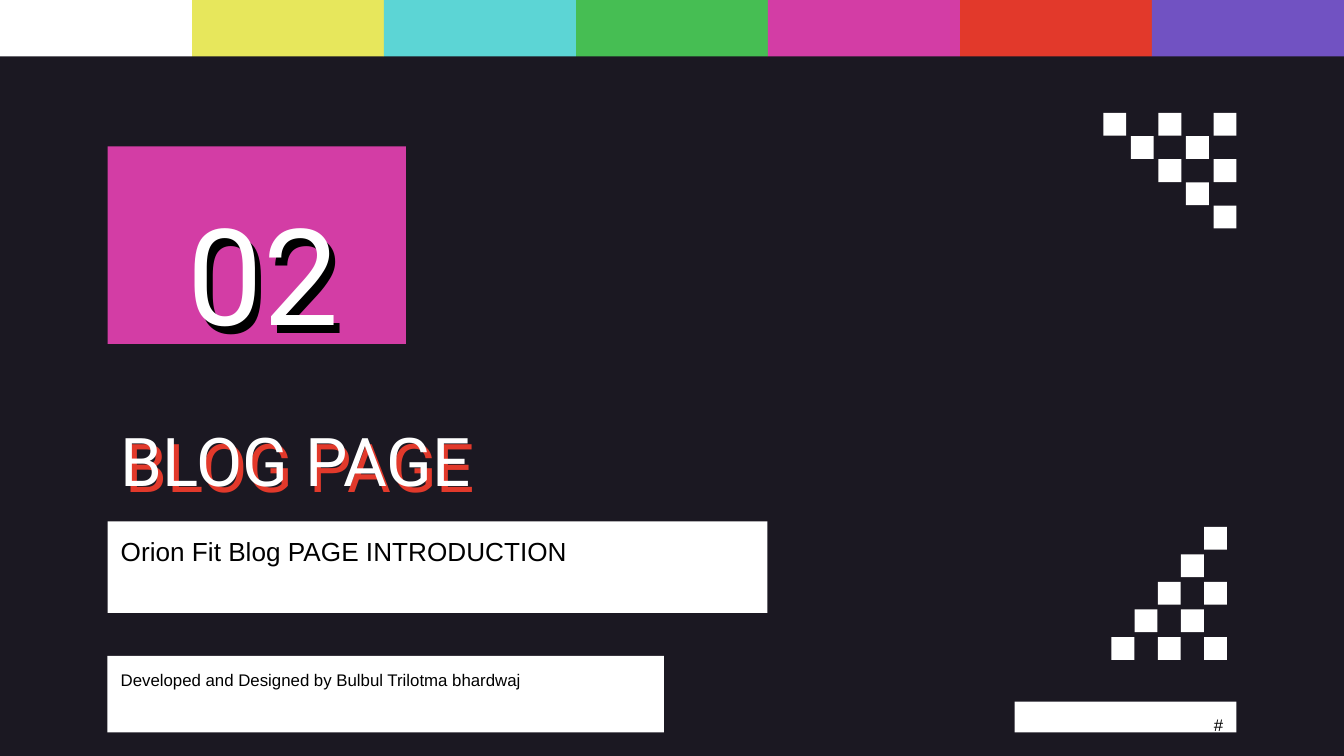
from lxml.etree import SubElement
from pptx import Presentation
from pptx.dml.color import RGBColor
from pptx.enum.shapes import MSO_SHAPE as Shape
from pptx.enum.text import MSO_ANCHOR as Anchor, PP_ALIGN as Align
from pptx.oxml.ns import qn
from pptx.util import Inches, Pt

WIDTH = 10
HEIGHT = WIDTH * 9 / 16
BACKGROUND, WHITE, BLACK = "1B1822", "FFFFFF", "000000"
PINK, RED = "D33DA5", "E2392B"
LEFT = 0.8
SQUARE, NARROW, WIDE = 0.17, 0.17, 0.21

# Content
STRIPES = [WHITE, "E7E75C", "5CD5D5", "46BE53", PINK, RED, "7152C2"]
NUMBER_BOX = (LEFT, 1.09, 2.22, 1.47)

# Checker patterns: left, top, right, bottom, rows of squares
CHECKERS = [
    (8.21, 0.84, 9.03, 1.53, ["X.X.X", ".X.X.", "..X.X", "...X.", "....X"]),
    (8.27, 3.92, 8.96, 4.74, ["....X", "...X.", "..X.X", ".X.X.", "X.X.X"]),
]

# Headings: text, box, size, alignment, margins, shadow colour, shadow distance
HEADINGS = [
    ("BLOG PAGE", (LEFT, 2.65, 5.74, 1.34), 36, Align.LEFT,
     (0.1, 0.2, 0.1, 0), RED, 4.25),
    ("02", NUMBER_BOX, 72, Align.CENTER, (0.1, 0.4, 0, 0), BLACK, 5.25),
]

# White panels: text, box, size, alignment
PANELS = [
    ("Developed and Designed by Bulbul Trilotma bhardwaj",
     (LEFT, 4.88, 4.14, 0.57), 9, Align.LEFT),
    ("#", (7.55, 5.22, 1.65, 0.23), 9, Align.RIGHT),
    ("Orion Fit Blog PAGE INTRODUCTION",
     (LEFT, 3.88, 4.91, 0.68), 14, Align.LEFT),
]


def color(value):
    return RGBColor.from_string(value)


def add_rectangle(slide, box, fill):
    shape = slide.shapes.add_shape(Shape.RECTANGLE, *map(Inches, box))
    shape.shadow.inherit = False
    shape.fill.solid()
    shape.fill.fore_color.rgb = color(fill)
    shape.line.fill.background()
    return shape


def write(shape, text, size, font, ink, align, margins, anchor):
    frame = shape.text_frame
    frame.word_wrap = True
    frame.vertical_anchor = anchor
    (frame.margin_left, frame.margin_top,
     frame.margin_right, frame.margin_bottom) = map(Inches, margins)
    paragraph = frame.paragraphs[0]
    paragraph.text = text
    paragraph.alignment = align
    paragraph.font.name = font
    paragraph.font.size = Pt(size)
    paragraph.font.color.rgb = color(ink)


def add_shadow(shape, tint, distance):
    effects = SubElement(shape.element.spPr, qn("a:effectLst"))
    shadow = SubElement(effects, qn("a:outerShdw"), dist=str(Pt(distance)),
                        dir="3240000", algn="bl", rotWithShape="0")
    SubElement(shadow, qn("a:srgbClr"), val=tint)


presentation = Presentation()
presentation.slide_width = Inches(WIDTH)
presentation.slide_height = Inches(HEIGHT)
slide = presentation.slides.add_slide(presentation.slide_layouts[6])
slide.background.fill.solid()
slide.background.fill.fore_color.rgb = color(BACKGROUND)

# Colour stripes across the top
stripe_width = WIDTH / len(STRIPES)
for index, fill in enumerate(STRIPES):
    add_rectangle(slide, (index * stripe_width, 0, stripe_width, 0.42), fill)

# Checker corners
for left, top, right, bottom, rows in CHECKERS:
    column_step = (right - left) / (len(rows[0]) - 1)
    row_step = (bottom - top) / (len(rows) - 1)
    for row, marks in enumerate(rows):
        for column, mark in enumerate(marks):
            if mark == "X":
                add_rectangle(slide, (left + column * column_step,
                                      top + row * row_step,
                                      SQUARE, SQUARE), WHITE)

# Section number block and headings
add_rectangle(slide, NUMBER_BOX, PINK)
for text, box, size, align, margins, tint, distance in HEADINGS:
    heading = slide.shapes.add_textbox(*map(Inches, box))
    write(heading, text, size, "Roboto", WHITE, align, margins, Anchor.MIDDLE)
    add_shadow(heading, tint, distance)

# White text panels
for text, box, size, align in PANELS:
    panel = add_rectangle(slide, box, WHITE)
    write(panel, text, size, "Arial", BLACK, align, (0.1,) * 4, Anchor.TOP)

presentation.save("out.pptx")
